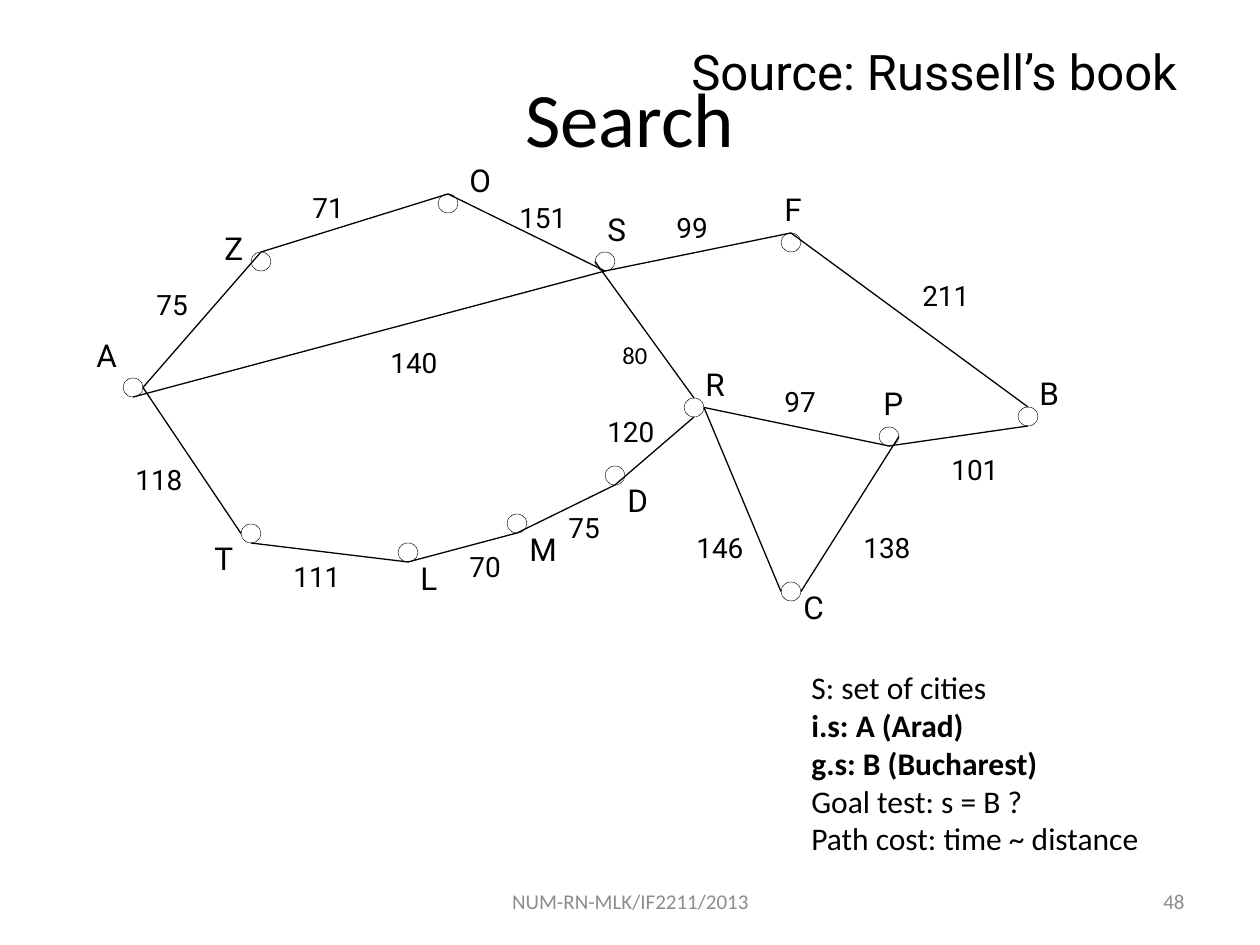
"""Build the route-search slide: a weighted map of cities and the problem statement."""
import pptx
import pptx.dml.color
import pptx.enum.shapes
import pptx.enum.text
import pptx.oxml
import pptx.util

BLACK = pptx.dml.color.RGBColor(0x00, 0x00, 0x00)
GREY = pptx.dml.color.RGBColor(0x8C, 0x8C, 0x8C)
ALIGN = pptx.enum.text.PP_ALIGN
ANCHOR = pptx.enum.text.MSO_ANCHOR
SCALE = 914400 / 126

NODE_W, NODE_H = 20, 19
CITY_BOX = (59, 50)
DISTANCE_BOX = (78, 47)

# city: node left and top, label left and top
CITIES = {
    "A": ((123, 378), (84, 330)),
    "T": ((241, 524), (202, 533)),
    "R": ((684, 398), (693, 359)),
    "C": ((781, 582), (791, 582)),
    "P": ((879, 427), (871, 378)),
    "B": ((1018, 407), (1027, 368)),
    "F": ((781, 233), (772, 184)),
    "S": ((595, 252), (595, 204)),
    "O": ((438, 194), (457, 155)),
    "Z": ((251, 252), (212, 223)),
    "D": ((605, 466), (615, 475)),
    "M": ((507, 514), (517, 524)),
    "L": ((398, 543), (408, 553)),
}

# city and side, city and side, distance, label left and top
ROADS = [
    ("A", "right", "Z", "top", "75", (144, 281)),
    ("Z", "top", "O", "top", "71", (300, 184)),
    ("O", "top", "S", "bottom", "151", (507, 194)),
    ("A", "bottom", "S", "bottom", "140", (378, 339)),
    ("P", "bottom", "B", "bottom", "101", (939, 446)),
    ("R", "right", "P", "bottom", "97", (772, 378)),
    ("C", "right", "P", "right", "138", (851, 524)),
    ("C", "left", "R", "right", "146", (684, 524)),
    ("D", "bottom", "R", "bottom", "120", (595, 408)),
    ("M", "bottom", "D", "bottom", "75", (556, 504)),
    ("L", "bottom", "M", "bottom", "70", (457, 543)),
    ("T", "left", "A", "right", "118", (123, 456)),
    ("T", "bottom", "L", "bottom", "111", (281, 553)),
    ("R", "top", "S", "left", "80", (610, 334)),
    ("S", "bottom", "F", "top", "99", (664, 204)),
    ("F", "top", "B", "top", "211", (910, 272)),
]

SIDES = {"top": (0.5, 0), "left": (0, 0.5), "bottom": (0.5, 1), "right": (1, 0.5)}

PROBLEM = [
    ("S: set of cities", False),
    ("i.s: A (Arad)", True),
    ("g.s: B (Bucharest)", True),
    ("Goal test: s = B ?", False),
    ("Path cost: time ~ distance", False),
]


def px(*values):
    return [round(v * SCALE) for v in values]


def write(tf, text, size=18, font="Calibri", color=BLACK, bold=False,
          align=ALIGN.LEFT, anchor=ANCHOR.TOP, wrap=True, first=True):
    tf.word_wrap = wrap
    tf.vertical_anchor = anchor
    p = tf.paragraphs[0] if first else tf.add_paragraph()
    p.alignment = align
    r = p.add_run()
    r.text = text
    r.font.size = pptx.util.Pt(size)
    r.font.name = font
    r.font.bold = bold
    r.font.color.rgb = color


def add_text(shapes, box, text, **fmt):
    sp = shapes.add_textbox(*px(*box))
    write(sp.text_frame, text, **fmt)
    return sp


def add_node(shapes, left, top):
    sp = shapes.add_shape(pptx.enum.shapes.MSO_SHAPE.OVAL,
                          *px(left, top, NODE_W, NODE_H))
    sp.shadow.inherit = False
    sp.fill.background()
    sp.line.color.rgb = BLACK
    sp.line.width = pptx.util.Pt(0.25)


def node_point(city, side):
    (left, top), _ = CITIES[city]
    fx, fy = SIDES[side]
    return left + fx * NODE_W, top + fy * NODE_H


def add_road(shapes, start, end):
    c = shapes.add_connector(pptx.enum.shapes.MSO_CONNECTOR.STRAIGHT,
                             *px(*start, *end))
    c.line.color.rgb = BLACK
    c.line.width = pptx.util.Pt(0.75)
    pptx.oxml.ns.qn("a:effectLst")
    c._element.spPr.append(pptx.oxml.xmlchemy.OxmlElement("a:effectLst"))


def add_map(slide):
    shapes = slide.shapes.add_group_shape().shapes
    for node, _ in CITIES.values():
        add_node(shapes, *node)
    for a, a_side, b, b_side, _, _ in ROADS:
        add_road(shapes, node_point(a, a_side), node_point(b, b_side))
    for city, (_, label) in CITIES.items():
        add_text(shapes, label + CITY_BOX, city, font="Roboto")
    for *_, distance, label in ROADS:
        if distance == "80":
            add_text(shapes, label + (53, 42), distance, size=14, wrap=False)
        else:
            add_text(shapes, label + DISTANCE_BOX, distance, size=16, font="Roboto")


def main():
    prs = pptx.Presentation()
    prs.slide_width, prs.slide_height = px(1260, 945)
    slide = prs.slides.add_slide(prs.slide_layouts[5])

    title = slide.shapes.title
    title.left, title.top, title.width, title.height = px(63, 38, 1134, 158)
    write(title.text_frame, "Search", size=44, align=ALIGN.CENTER, anchor=ANCHOR.MIDDLE)

    footer = dict(size=12, color=GREY, anchor=ANCHOR.MIDDLE)
    add_text(slide.shapes, (431, 876, 399, 50), "NUM-RN-MLK/IF2211/2013",
             align=ALIGN.CENTER, **footer)
    add_text(slide.shapes, (903, 876, 294, 50), "48", align=ALIGN.RIGHT, **footer)
    add_text(slide.shapes, (679, 35, 513, 72), "Source: Russell’s book",
             size=28, font="Roboto")

    problem = slide.shapes.add_textbox(*px(799, 662, 415, 202))
    for i, (line, bold) in enumerate(PROBLEM):
        write(problem.text_frame, line, bold=bold, first=i == 0)

    add_map(slide)
    prs.save("out.pptx")


if __name__ == "__main__":
    main()
